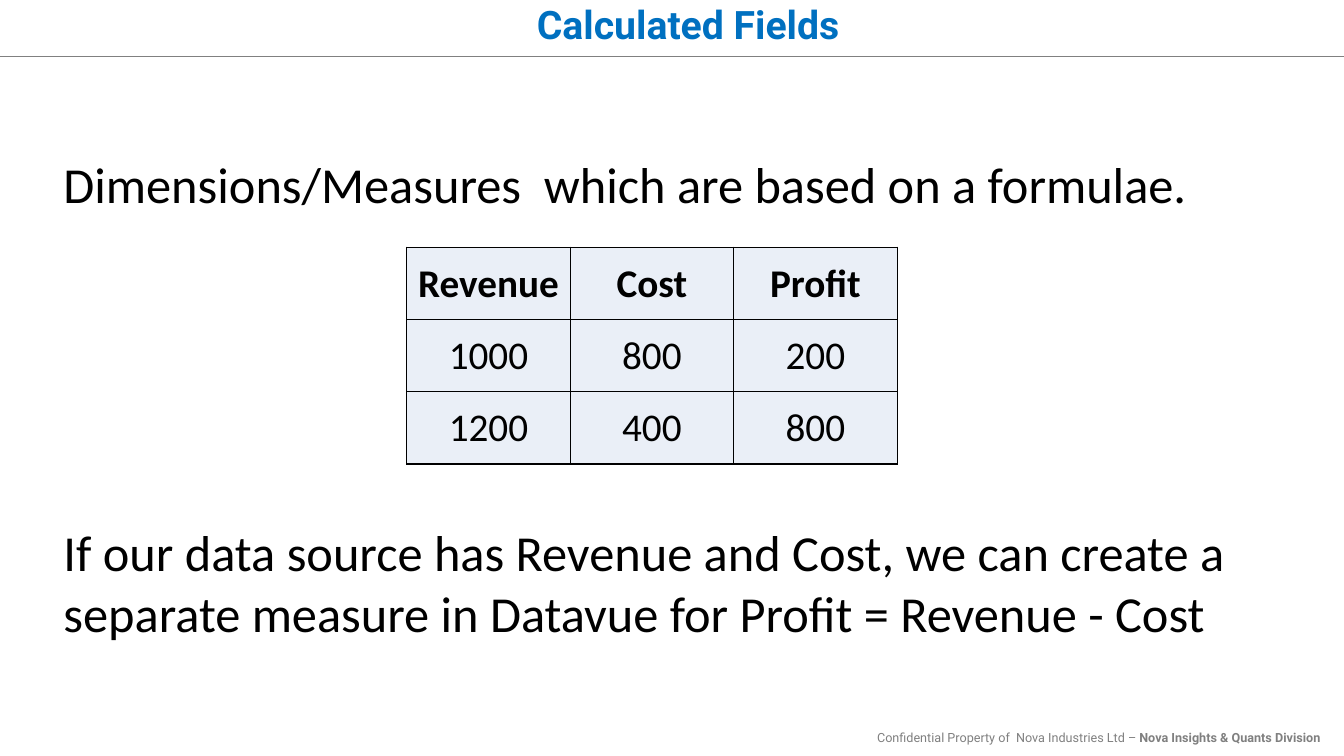
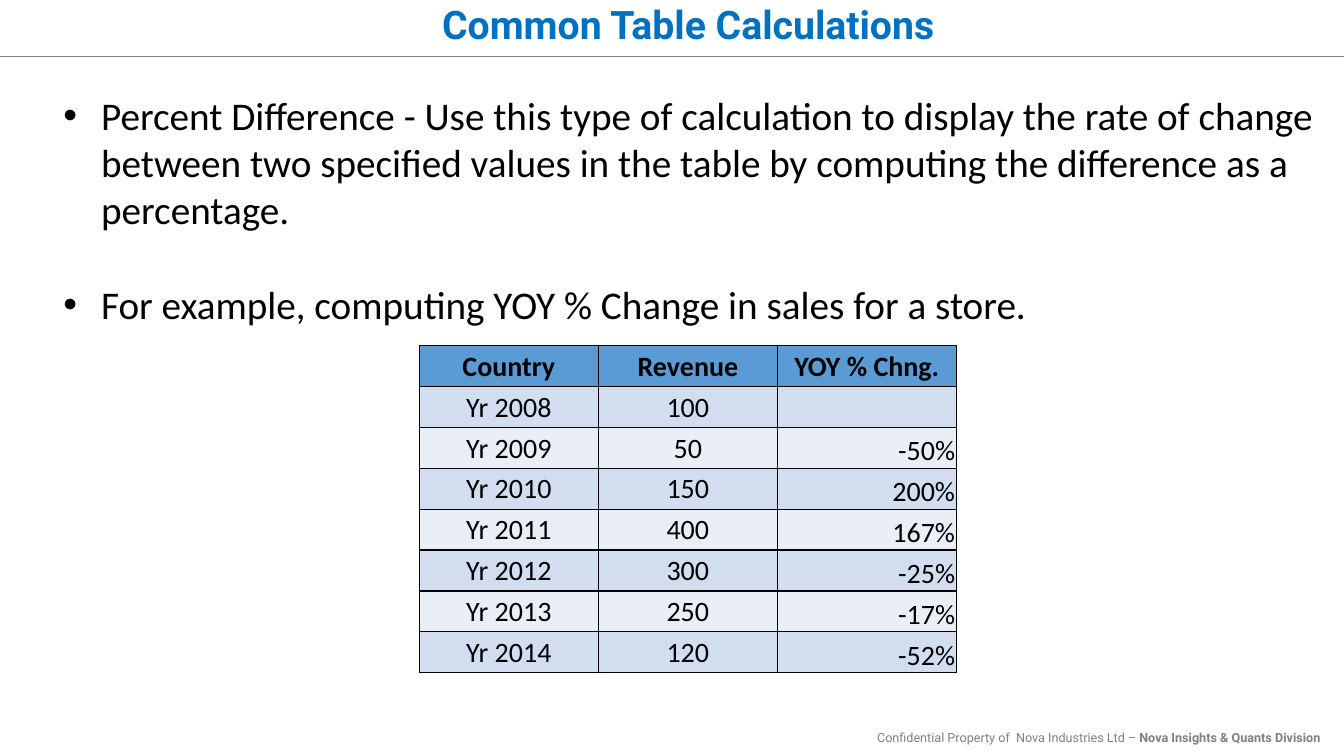
import pptx
import pptx.util
import pptx.dml.color
import pptx.enum.shapes
import pptx.enum.text
import pptx.oxml
import pptx.oxml.ns

Cm, Pt = pptx.util.Cm, pptx.util.Pt
RGB = pptx.dml.color.RGBColor
ALIGN = pptx.enum.text.PP_ALIGN
ANCHOR = pptx.enum.text.MSO_ANCHOR
NS = pptx.oxml.ns.nsdecls("a")

# Colours
BLACK = RGB(0x00, 0x00, 0x00)
WHITE = RGB(0xFF, 0xFF, 0xFF)
GRAY = RGB(0x80, 0x80, 0x80)
BLUE = RGB(0x00, 0x70, 0xC0)
HEAD = RGB(0x5B, 0x9B, 0xD5)
PALE = RGB(0xEA, 0xEF, 0xF7)
BAND = RGB(0xD2, 0xDE, 0xEF)

# Text formats
TITLE = {"name": "Roboto", "size": Pt(28), "bold": True}
FOOT = {"name": "Roboto", "size": Pt(9)}
BODY = {"name": "Calibri"}

# Slide content
PAGES = [
    {
        "title": "Calculated Fields",
        "text": [
            "Dimensions/Measures  which are based on a formulae.",
            "If our data source has Revenue and Cost, we can create a separate "
            "measure in Datavue for Profit = Revenue - Cost",
        ],
        "size": Pt(36), "top": Cm(3.73), "tall": Cm(12.5),
        "gap": Pt(220), "bullet": False,
        "rows": [
            ["Revenue", "Cost", "Profit"],
            ["1000", "800", "200"],
            ["1200", "400", "800"],
        ],
        "grid": (Cm(10.25), Cm(6.23)), "cell": (Cm(4.12), Cm(1.82)),
        "font": Pt(28), "fills": [PALE, PALE, PALE], "last": ALIGN.CENTER,
    },
    {
        "title": "Common Table Calculations",
        "text": [
            "Percent Difference - Use this type of calculation to display the "
            "rate of change between two specified values in the table by "
            "computing the difference as a percentage.",
            "For example, computing YOY % Change in sales for a store.",
        ],
        "size": Pt(28), "top": Cm(2.18), "tall": Cm(6.25),
        "gap": Pt(34), "bullet": True,
        "rows": [
            ["Country", "Revenue", "YOY % Chng."],
            ["Yr 2008", "100", ""],
            ["Yr 2009", "50", "-50%"],
            ["Yr 2010", "150", "200%"],
            ["Yr 2011", "400", "167%"],
            ["Yr 2012", "300", "-25%"],
            ["Yr 2013", "250", "-17%"],
            ["Yr 2014", "120", "-52%"],
        ],
        "grid": (Cm(10.57), Cm(8.71)), "cell": (Cm(4.51), Cm(1.03)),
        "font": Pt(20), "fills": [HEAD, BAND, PALE], "last": ALIGN.RIGHT,
    },
]


def write(para, text, tint, form):
    """Add a run of text in the given colour and format."""
    run = para.add_run()
    run.text = text
    run.font.color.rgb = tint
    for key, value in form.items():
        setattr(run.font, key, value)


def edge(cell):
    """Draw a thin black border round a cell."""
    for side in ("lnL", "lnR", "lnT", "lnB"):
        cell._tc.get_or_add_tcPr().append(pptx.oxml.parse_xml(
            f'<a:{side} {NS} w="{Pt(1)}"><a:solidFill>'
            f'<a:srgbClr val="{BLACK}"/></a:solidFill></a:{side}>'))


deck = pptx.Presentation()
deck.slide_width, deck.slide_height = Cm(33.87), Cm(19.05)

for page in PAGES:
    slide = deck.slides.add_slide(deck.slide_layouts[6])
    shapes = slide.shapes

    # Rule below the title
    rule = shapes.add_connector(pptx.enum.shapes.MSO_CONNECTOR.STRAIGHT,
                                0, Cm(1.42), deck.slide_width, Cm(1.42))
    rule.line.color.rgb = GRAY
    rule.line.width = Pt(0.5)
    rule._element.spPr.append(pptx.oxml.parse_xml(f"<a:effectLst {NS}/>"))

    # Footer
    foot = shapes.add_textbox(Cm(16.66), Cm(18.26), Cm(16.94), Cm(0.64))
    foot.text_frame.word_wrap = True
    para = foot.text_frame.paragraphs[0]
    para.alignment = ALIGN.RIGHT
    write(para, "Confidential Property of  Nova Industries Ltd – ", GRAY, FOOT)
    write(para, "Nova Insights & Quants Division ", GRAY, FOOT | {"bold": True})

    # Title
    title = shapes.add_shape(pptx.enum.shapes.MSO_SHAPE.RECTANGLE,
                             Cm(5.77), 0, Cm(23.14), Cm(1.35))
    title.shadow.inherit = False
    title.fill.solid()
    title.fill.fore_color.rgb = WHITE
    title.line.fill.background()
    title.text_frame.vertical_anchor = ANCHOR.MIDDLE
    para = title.text_frame.paragraphs[0]
    para.alignment = ALIGN.CENTER
    para.line_spacing = 0.9
    write(para, page["title"], BLUE, TITLE)

    # Body text
    body = shapes.add_textbox(Cm(1.35), page["top"], Cm(32), page["tall"])
    frame = body.text_frame
    frame.word_wrap = True
    for i, text in enumerate(page["text"]):
        para = frame.add_paragraph() if i else frame.paragraphs[0]
        if i:
            para.space_before = page["gap"]
        if page["bullet"]:
            props = para._p.get_or_add_pPr()
            props.set("marL", str(Cm(0.95)))
            props.set("indent", str(-Cm(0.95)))
            for tag in ('buFont {} typeface="Arial"', 'buChar {} char="•"'):
                props.append(pptx.oxml.parse_xml(f"<a:{tag.format(NS)}/>"))
        write(para, text, BLACK, BODY | {"size": page["size"]})

    # Table
    rows = page["rows"]
    wide, high = page["cell"]
    count = len(rows[0])
    table = shapes.add_table(len(rows), count, *page["grid"],
                             wide * count, high * len(rows)).table
    for col in table.columns:
        col.width = wide
    for r, row in enumerate(rows):
        table.rows[r].height = high
        fill = page["fills"][0 if r == 0 else 2 - r % 2]
        for c, text in enumerate(row):
            cell = table.cell(r, c)
            edge(cell)
            cell.fill.solid()
            cell.fill.fore_color.rgb = fill
            align = page["last"] if r and c == count - 1 else ALIGN.CENTER
            low = align == ALIGN.RIGHT
            form = {"margin_left": Cm(0.03), "margin_right": Cm(0.03),
                    "margin_top": Cm(0.03), "margin_bottom": 0,
                    "vertical_anchor": ANCHOR.BOTTOM if low else ANCHOR.MIDDLE}
            for key, value in form.items():
                setattr(cell, key, value)
            if text:
                para = cell.text_frame.paragraphs[0]
                para.alignment = align
                write(para, text, BLACK,
                      BODY | {"size": page["font"], "bold": r == 0})

deck.save("out.pptx")
